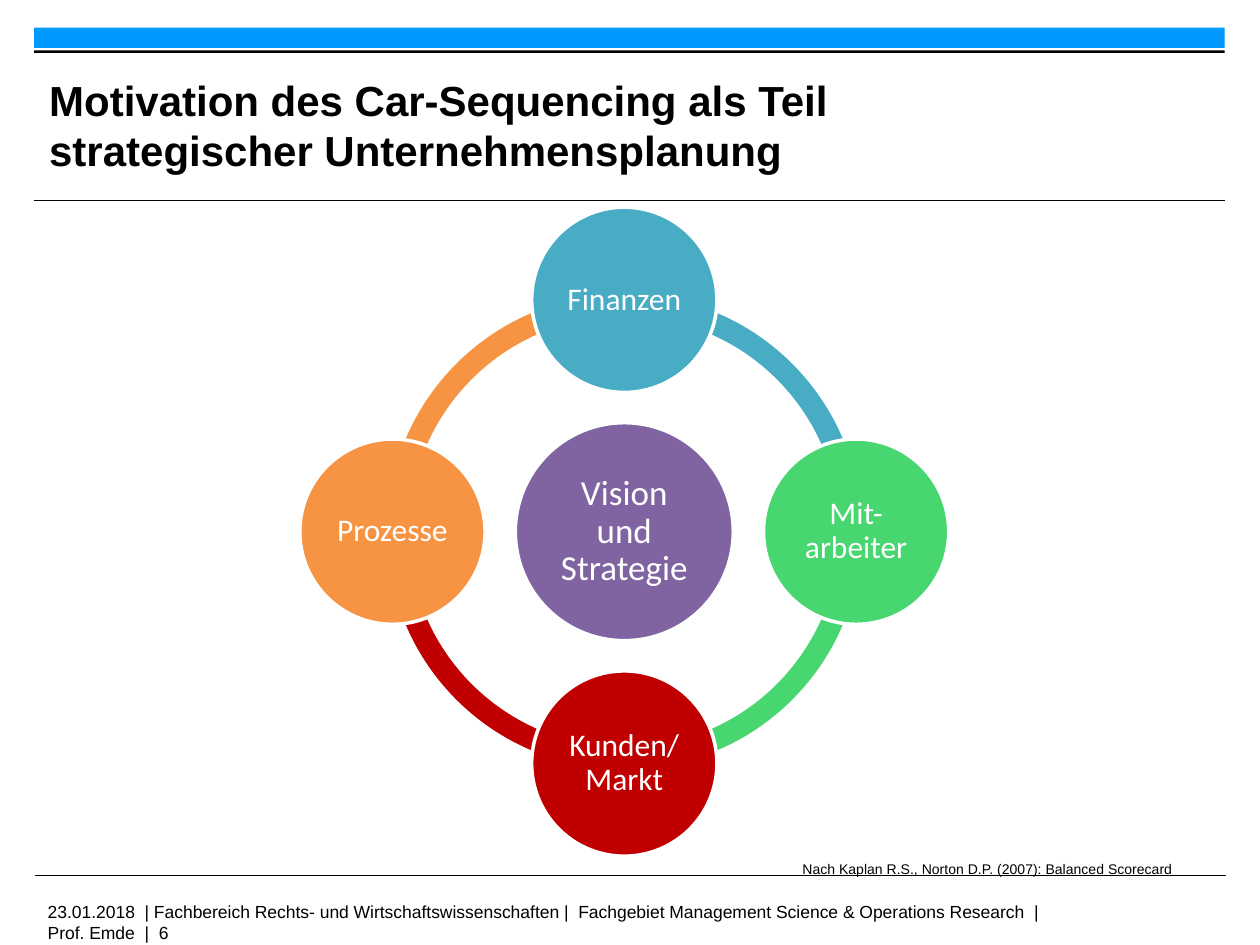
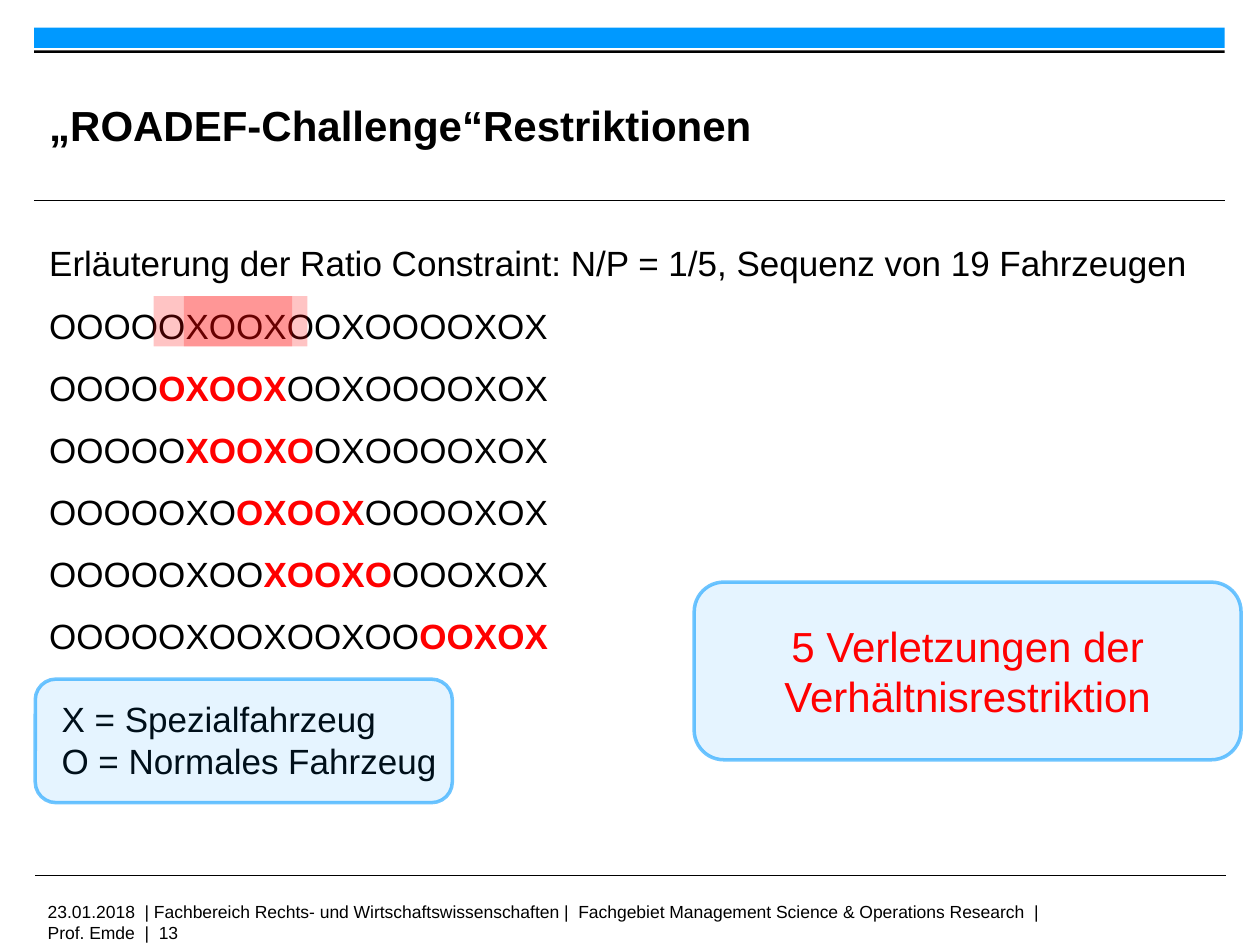
import math

from lxml import etree
from pptx import Presentation
from pptx.dml.color import RGBColor
from pptx.enum.shapes import MSO_CONNECTOR, MSO_SHAPE
from pptx.enum.text import MSO_ANCHOR, MSO_AUTO_SIZE, PP_ALIGN
from pptx.oxml.ns import qn
from pptx.util import Inches, Pt

RECT, ELLIPSE = MSO_SHAPE.RECTANGLE, MSO_SHAPE.OVAL
ARC, ROUNDED = MSO_SHAPE.BLOCK_ARC, MSO_SHAPE.ROUNDED_RECTANGLE
STRAIGHT = MSO_CONNECTOR.STRAIGHT
LEFT, CENTER = PP_ALIGN.LEFT, PP_ALIGN.CENTER
TOP, MIDDLE = MSO_ANCHOR.TOP, MSO_ANCHOR.MIDDLE
NO_FIT = MSO_AUTO_SIZE.NONE

BLACK = RGBColor(0x00, 0x00, 0x00)
WHITE = RGBColor(0xFF, 0xFF, 0xFF)
BLUE = RGBColor(0x00, 0x99, 0xFF)
RED = RGBColor(0xFF, 0x00, 0x00)
PURPLE = RGBColor(0x80, 0x64, 0xA2)
TEAL = RGBColor(0x49, 0xAC, 0xC5)
GREEN = RGBColor(0x47, 0xD6, 0x70)
DARK_RED = RGBColor(0xC0, 0x00, 0x00)
ORANGE = RGBColor(0xF6, 0x94, 0x44)

TITLE_BOX = (0.39, 0.53, 7.26, 0.92)
FOOTER = ("23.01.2018  | Fachbereich Rechts- und Wirtschaftswissenschaften |  "
          "Fachgebiet Management Science & Operations Research  |  Prof. Emde  |  {}")
PERSPECTIVES = [("Finanzen", TEAL), ("Mit-arbeiter", GREEN),
                ("Kunden/Markt", DARK_RED), ("Prozesse", ORANGE)]
SEQUENCE = "OOOOOXOOXOOXOOOOXOX"
WINDOW = 5
VIOLATION_STARTS = [4, 5, 7, 8, 14]


def apply(target, **values):
    for name, value in values.items():
        setattr(target, name, value)


def inches(box):
    return [Inches(length) for length in box]


def set_margins(frame, side, edge):
    apply(frame, margin_left=Inches(side), margin_right=Inches(side),
          margin_top=Inches(edge), margin_bottom=Inches(edge))


def write(paragraph, text, size, color=BLACK, font="Arial", bold=False):
    run = paragraph.add_run()
    run.text = text
    apply(run.font, size=Pt(size), name=font, bold=bold)
    run.font.color.rgb = color


def set_alpha(color_format_owner, percent):
    color = color_format_owner.find(".//" + qn("a:srgbClr"))
    etree.SubElement(color, qn("a:alpha")).set("val", str(percent * 1000))


def add_filled(slide, kind, box, color, alpha=None):
    shape = slide.shapes.add_shape(kind, *inches(box))
    shape.shadow.inherit = False
    shape.fill.solid()
    shape.fill.fore_color.rgb = color
    shape.line.fill.background()
    if alpha:
        set_alpha(shape._element.spPr.find(qn("a:solidFill")), alpha)
    return shape


def outline(shape, color, width):
    shape.line.color.rgb = color
    shape.line.width = Pt(width)


def add_text(slide, box, lines, size, wrap=True):
    frame = slide.shapes.add_textbox(*inches(box)).text_frame
    apply(frame, word_wrap=wrap, auto_size=NO_FIT)
    for index, line in enumerate(lines):
        paragraph = frame.add_paragraph() if index else frame.paragraphs[0]
        write(paragraph, line, size)


def add_rule(slide, left, top, width):
    rule = slide.shapes.add_connector(
        STRAIGHT, *inches((left, top, left + width, top)))
    outline(rule, BLACK, 0.6)
    etree.SubElement(rule._element.spPr, qn("a:effectLst"))


def place(placeholder, box):
    apply(placeholder, **dict(zip(("left", "top", "width", "height"), inches(box))))


def add_framed_slide(prs, layout_index, title, number):
    slide = prs.slides.add_slide(prs.slide_layouts[layout_index])
    add_filled(slide, RECT, (0.27, 0.22, 9.45, 0.16), BLUE)
    add_rule(slide, 0.27, 1.59, 9.45)
    add_filled(slide, RECT, (0.27, 0.4, 9.45, 0.02), BLACK)
    add_rule(slide, 0.28, 6.95, 9.45)
    add_text(slide, (0.28, 7.1, 8.11, 0.25), [FOOTER.format(number)], 10)
    heading = slide.shapes.title
    place(heading, TITLE_BOX)
    frame = heading.text_frame
    apply(frame, word_wrap=True, auto_size=NO_FIT, vertical_anchor=MIDDLE)
    set_margins(frame, 0, 0)
    frame.paragraphs[0].alignment = LEFT
    write(frame.paragraphs[0], title, 24, bold=True)
    return slide


def add_bubble(slide, center_x, center_y, diameter, label, color, size, margin):
    box = (center_x - diameter / 2, center_y - diameter / 2, diameter, diameter)
    bubble = add_filled(slide, ELLIPSE, box, color)
    outline(bubble, WHITE, 2)
    frame = bubble.text_frame
    apply(frame, word_wrap=True, vertical_anchor=MIDDLE)
    set_margins(frame, margin, margin)
    apply(frame.paragraphs[0], alignment=CENTER, line_spacing=0.9)
    write(frame.paragraphs[0], label, size, WHITE, "Calibri")


def add_scorecard(slide, box):
    left, top, width, height = box
    center_x, center_y = left + width / 2, top + height / 2
    bubble_size = 1.47
    orbit = (width - bubble_size) / 2
    ring = 3.77
    ring_box = (center_x - ring / 2, center_y - ring / 2, ring, ring)
    quarter, full_turn = 54, 216
    for index, (_, color) in enumerate(PERSPECTIVES):
        arc = add_filled(slide, ARC, ring_box, color)
        start = (index - 1) * quarter % full_turn
        for position, value in enumerate((start, (start + quarter) % full_turn, 0.046)):
            arc.adjustments[position] = value
    add_bubble(slide, center_x, center_y, 1.73, "Vision und Strategie", PURPLE, 20, 0.03)
    for index, (label, color) in enumerate(PERSPECTIVES):
        angle = index * math.pi / 2
        add_bubble(slide, center_x + orbit * math.sin(angle),
                   center_y - orbit * math.cos(angle),
                   bubble_size, label, color, 18, 0.02)


def add_sequences(slide, box):
    body = slide.placeholders[1]
    place(body, box)
    frame = body.text_frame
    apply(frame, word_wrap=True, auto_size=NO_FIT, vertical_anchor=TOP)
    set_margins(frame, 0, 0.05)
    rows = [[("Erläuterung der Ratio Constraint: N/P = 1/5, Sequenz von 19 Fahrzeugen", False)],
            [(SEQUENCE, False)]]
    for start in VIOLATION_STARTS:
        end = start + WINDOW
        rows.append([(SEQUENCE[:start], False), (SEQUENCE[start:end], True),
                     (SEQUENCE[end:], False)])
    for index, row in enumerate(rows):
        paragraph = frame.add_paragraph() if index else frame.paragraphs[0]
        properties = paragraph._p.get_or_add_pPr()
        properties.set("marL", str(Inches(0.2)))
        properties.set("indent", str(Inches(-0.2)))
        etree.SubElement(properties, qn("a:buNone"))
        apply(paragraph, alignment=LEFT, line_spacing=1.3,
              space_before=Pt(2 if index else 0), space_after=Pt(2.3))
        for text, violated in row:
            if text:
                write(paragraph, text, 20, RED if violated else BLACK, bold=violated)


def add_panel(slide, box):
    panel = add_filled(slide, ROUNDED, box, BLUE, 10)
    outline(panel, BLUE, 2)
    set_alpha(panel._element.spPr.find(qn("a:ln")), 56)
    return panel


def add_legend(slide, box):
    left, top, _, _ = box
    add_text(slide, (left + 0.11, top + 0.1, 5, 0.77),
             ["X = Spezialfahrzeug", "O = Normales Fahrzeug"], 20)
    add_panel(slide, box)


def add_conclusion(slide, box):
    frame = add_panel(slide, box).text_frame
    apply(frame, word_wrap=True, vertical_anchor=MIDDLE)
    frame.paragraphs[0].alignment = CENTER
    write(frame.paragraphs[0], "5 Verletzungen der Verhältnisrestriktion", 24, RED)


def build_motivation(prs):
    slide = add_framed_slide(
        prs, 5, "Motivation des Car-Sequencing als Teil strategischer Unternehmensplanung", 6)
    add_scorecard(slide, (2.38, 1.64, 5.15, 5.16))
    add_text(slide, (6.27, 6.78, 3.19, 0.24),
             ["Nach Kaplan R.S., Norton D.P. (2007): Balanced Scorecard"], 8, wrap=False)


def build_restrictions(prs):
    slide = add_framed_slide(prs, 1, "„ROADEF-Challenge“Restriktionen", 13)
    add_sequences(slide, (0.39, 1.77, 9.33, 3.55))
    for left, width in ((1.22, 1.1), (1.46, 0.98)):
        add_filled(slide, RECT, (left, 2.35, width, 0.4), RED, 23)
    add_legend(slide, (0.28, 5.39, 3.31, 0.98))
    add_conclusion(slide, (5.51, 4.62, 4.34, 1.41))


def main():
    prs = Presentation()
    apply(prs, slide_width=Inches(10), slide_height=Inches(7.5))
    build_motivation(prs)
    build_restrictions(prs)
    prs.save("out.pptx")


if __name__ == "__main__":
    main()
